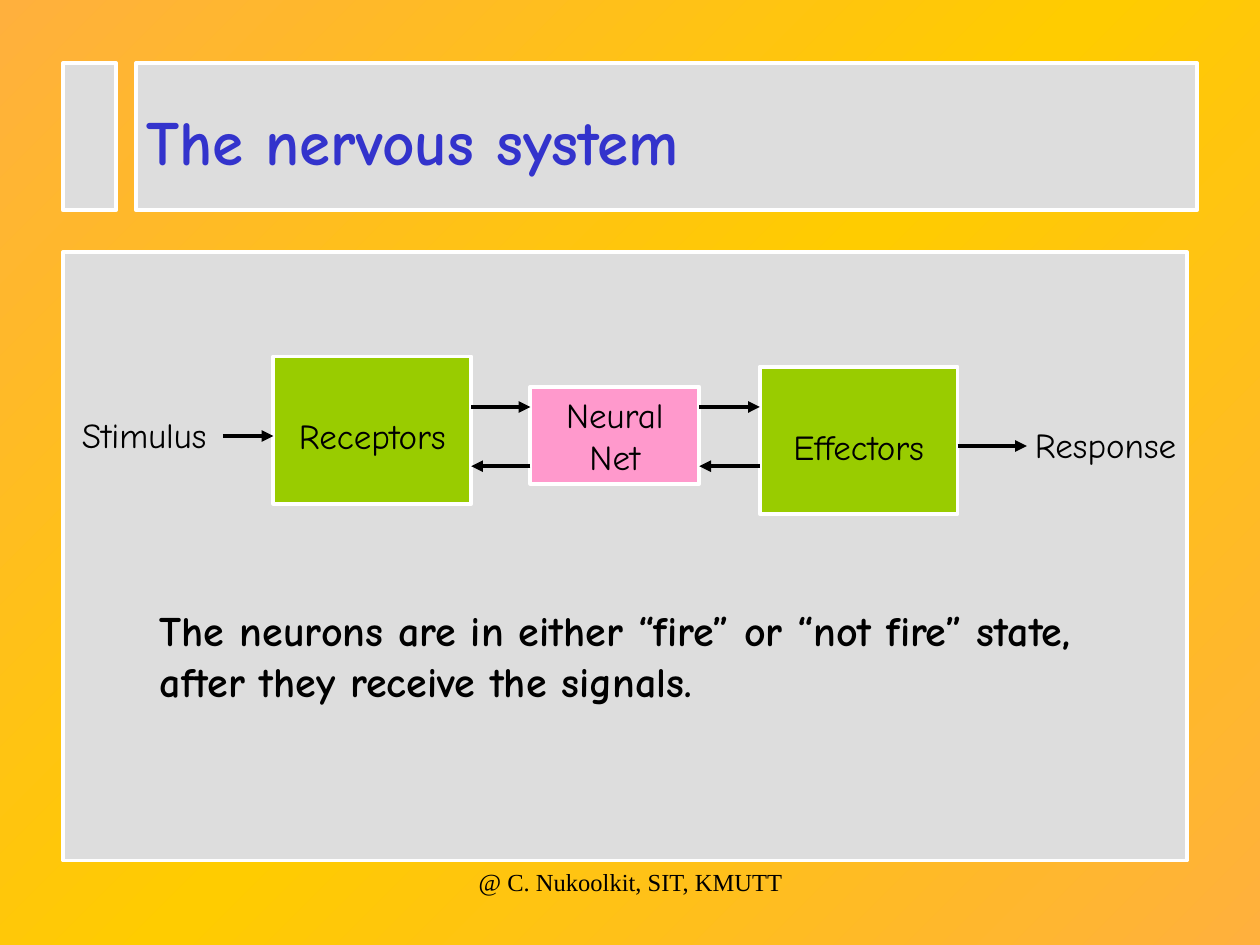
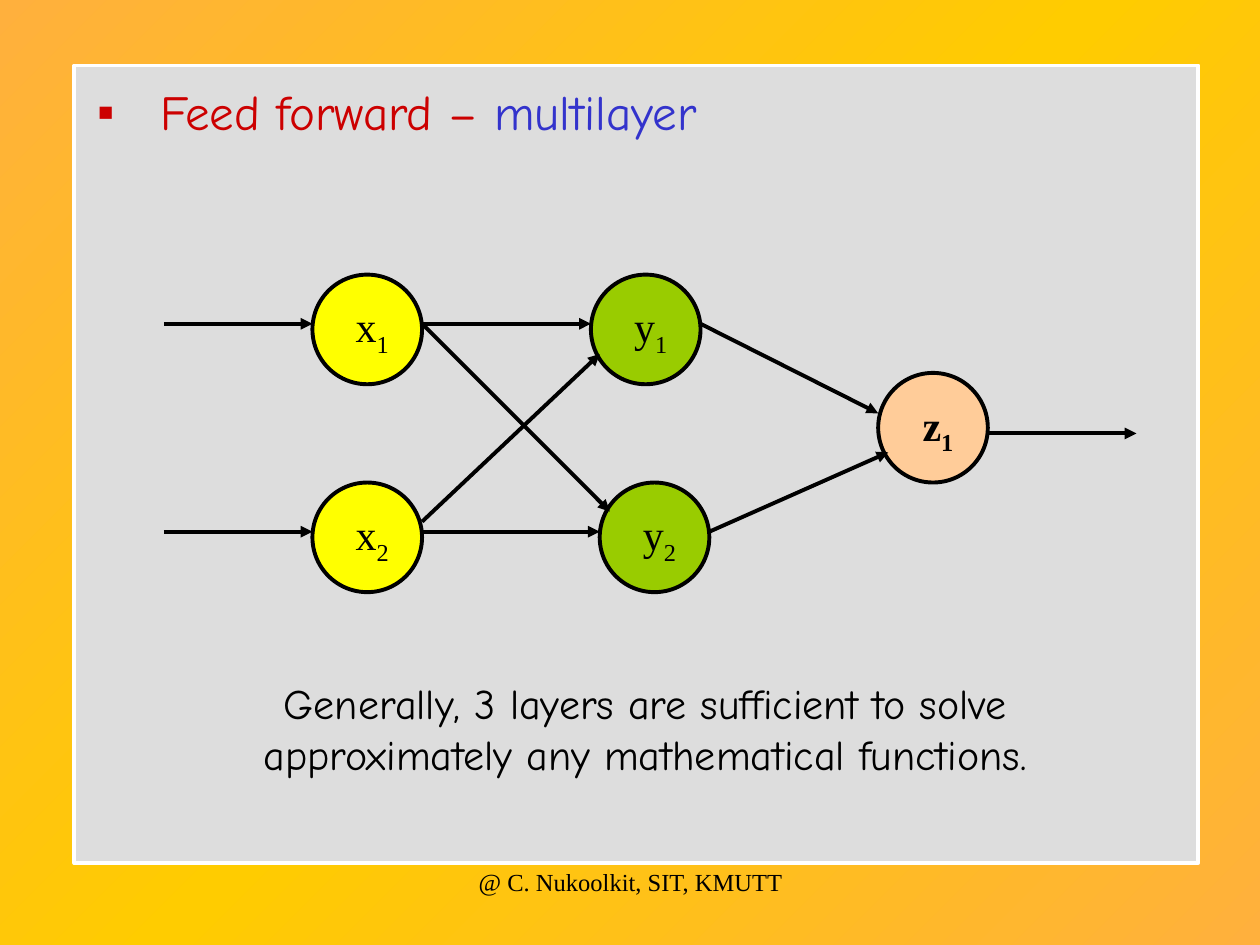
from copy import deepcopy

from lxml.etree import SubElement
from pptx import Presentation
from pptx.dml.color import RGBColor
from pptx.enum.shapes import MSO_CONNECTOR as Link, MSO_SHAPE as Kind
from pptx.enum.text import MSO_ANCHOR as Anchor, MSO_AUTO_SIZE as Fit, PP_ALIGN as Align
from pptx.oxml.ns import qn
from pptx.util import Inches, Pt

COLS, ROWS = 100, 75  # grid of square cells, a tenth of an inch each
HAND, SERIF = "Comic Neue", "Times New Roman"
BLACK, WHITE, GREY = "000000", "FFFFFF", "DDDDDD"
RED, BLUE, GREEN = "CC0000", "3333CC", "99CC00"
PINK, YELLOW, PEACH = "FF99CC", "FFFF00", "FFCC99"
AMBER, GOLD = "FFB03D", "FFCC00"
DOT = 8.7  # width of a neuron
MID = 3.9  # height of the usual port below a neuron's top


def cell(n):
    return Inches(n / 10)


def rgb(code):
    return RGBColor.from_string(code)


def place(shape, area):
    shape.left, shape.top, shape.width, shape.height = map(cell, area)


def write(frame, runs, size, font=HAND, align=Align.CENTER, bold=False, anchor=Anchor.TOP):
    """Fill a frame with one paragraph of (text, colour) runs."""
    frame.word_wrap = True
    frame.auto_size = Fit.NONE
    frame.vertical_anchor = anchor
    para = frame.paragraphs[0]
    para.alignment = align
    for text, _ in runs[1:]:
        para.add_run()
    if len(runs) == 1:
        para.text = runs[0][0]
        pairs = [(run, runs[0][1]) for run in para.runs]
    else:
        para.add_run()
        for run, (text, _) in zip(para.runs, runs):
            run.text = text
        pairs = [(run, color) for run, (_, color) in zip(para.runs, runs)]
    for run, color in pairs:
        run.font.name, run.font.size, run.font.bold = font, Pt(size), bold
        run.font.color.rgb = rgb(color)
    return para


def label(slide, area, text, size, **style):
    box = slide.shapes.add_textbox(*map(cell, area))
    write(box.text_frame, [(text, BLACK)], size, **style)


def block(slide, area, fill, edge=WHITE, kind=Kind.RECTANGLE):
    shape = slide.shapes.add_shape(kind, *map(cell, area))
    shape.shadow.inherit = False
    shape.fill.solid()
    shape.fill.fore_color.rgb = rgb(fill)
    shape.line.color.rgb = rgb(edge)
    shape.line.width = Pt(2.25)
    return shape


def stage(slide, area, fill, text, drop=0.0):
    """Box of the flow; drop lowers its text, in cells."""
    frame = block(slide, area, fill).text_frame
    frame.margin_top = cell(0.5 + 2 * drop)
    write(frame, [(text, BLACK)], 20, anchor=Anchor.MIDDLE)


def neuron(slide, spot, fill, name, bold=False):
    frame = block(slide, (*spot, DOT, DOT), fill, BLACK, Kind.OVAL).text_frame
    frame.margin_left, frame.margin_right = cell(0.8), 0
    frame.margin_top = frame.margin_bottom = 0
    para = write(frame, [(mark, BLACK) for mark in name], 24, SERIF, bold=bold,
                 anchor=Anchor.MIDDLE)
    para.runs[1].font._element.set("baseline", "-25000")


def arrow(slide, start, end):
    line = slide.shapes.add_connector(Link.STRAIGHT, *map(cell, (*start, *end)))
    line.line.color.rgb = rgb(BLACK)
    line.line.width = Pt(2.25)
    SubElement(line.line._get_or_add_ln(), qn("a:tailEnd"), type="triangle")
    SubElement(line._element.spPr, qn("a:effectLst"))


def head(slide, area, runs, size, bold=False, bullet=None):
    """Format the title and lift it above the panels."""
    title = slide.shapes.title
    place(title, area)
    slide.shapes._spTree.append(title._element)
    if bullet:
        props = title.text_frame.paragraphs[0]._p.get_or_add_pPr()
        props.set("marL", str(cell(5)))
        props.set("indent", str(-cell(5)))
        tint = SubElement(props, qn("a:buClr"))
        SubElement(tint, qn("a:srgbClr"), val=RED)
        SubElement(props, qn("a:buFont"), typeface="Arial")
        SubElement(props, qn("a:buChar"), char=bullet)
    write(title.text_frame, runs, size, align=Align.LEFT, bold=bold)


def backdrop(master):
    fill = master.background.fill
    fill.gradient()
    fill.gradient_angle = 135
    for stop in fill.gradient_stops:
        stop.color.rgb = rgb(AMBER)
    stops = master._element.find(".//" + qn("a:gsLst"))
    middle = deepcopy(stops[0])
    middle.set("pos", "50000")
    middle.find(qn("a:srgbClr")).set("val", GOLD)
    stops.insert(1, middle)


def start(deck, *panels):
    """New slide with its grey panels and footer."""
    slide = deck.slides.add_slide(deck.slide_layouts[5])
    for area in panels:
        block(slide, area, GREY)
    label(slide, (34.2, 68.3, 31.7, 5), "@ C. Nukoolkit, SIT, KMUTT", 14, font=SERIF)
    return slide


def nerves(deck):
    slide = start(deck, (10.8, 5, 84.2, 11.7), (5, 5, 4.2, 11.7), (5, 20, 89.2, 48.3))
    head(slide, (10.6, 7.6, 87.4, 7), [("The nervous system", BLUE)], 36, bold=True)

    label(slide, (2.8, 32.3, 17.3, 4.4), "Stimulus", 20)
    label(slide, (79.1, 33.1, 17.3, 4.4), "Response", 20)
    stage(slide, (21.7, 28.3, 15.7, 11.7), GREEN, "Receptors", 0.45)
    stage(slide, (42.1, 30.7, 13.4, 7.7), PINK, "Neural\vNet")
    stage(slide, (60.3, 29.1, 15.7, 11.7), GREEN, "Effectors", 0.45)

    arrow(slide, (17.7, 34.6), (21.7, 34.6))
    for left, right in ((37.4, 42.1), (55.5, 60.3)):
        arrow(slide, (left, 32.3), (right, 32.3))
        arrow(slide, (right, 37), (left, 37))
    arrow(slide, (76, 35.4), (81.5, 35.4))

    label(slide, (11.7, 47.5, 75.8, 9),
          "The neurons are in either “fire” or “not fire” state, after they receive the signals.",
          24, align=Align.LEFT, bold=True)


def layers(deck):
    slide = start(deck, (5.9, 5.2, 89.2, 63.3))
    head(slide, (6.7, 6, 89.2, 5.7),
         [("Feed forward – ", RED), ("multilayer", BLUE)], 28, bullet="▪")

    upper, lower = 21.8, 38.3
    spots = {"x1": (24.8, upper), "x2": (24.8, lower),
             "y1": (46.9, upper), "y2": (47.6, lower), "z1": (69.7, 29.6)}
    fills = {"x": YELLOW, "y": GREEN, "z": PEACH}
    for name, spot in spots.items():
        neuron(slide, spot, fills[name[0]], name, bold=name == "z1")

    def port(name, across, down=MID):
        x, y = spots[name]
        return x + across, y + down

    for name in ("x1", "x2"):
        end = port(name, 0)
        arrow(slide, (13, end[1]), end)
    # source, its exit height, target, entry point
    links = [("x1", MID, "y1", 0, MID), ("x2", MID, "y2", 0, MID),
             ("x2", 3.1, "y1", 0.7, 6.3), ("x1", MID, "y2", 0.8, 2.3),
             ("y1", MID, "z1", 0, 3.2), ("y2", MID, "z1", 0.8, 6.3)]
    for source, out, target, across, down in links:
        arrow(slide, port(source, DOT, out), port(target, across, down))
    exit_at = port("z1", DOT, 4.8)
    arrow(slide, exit_at, (90.2, exit_at[1]))

    label(slide, (13.3, 53.3, 75.8, 9),
          "Generally, 3 layers are sufficient to solve approximately any mathematical functions.", 24)


def main():
    deck = Presentation()
    deck.slide_width, deck.slide_height = cell(COLS), cell(ROWS)
    backdrop(deck.slide_master)
    nerves(deck)
    layers(deck)
    deck.save("out.pptx")


if __name__ == "__main__":
    main()
